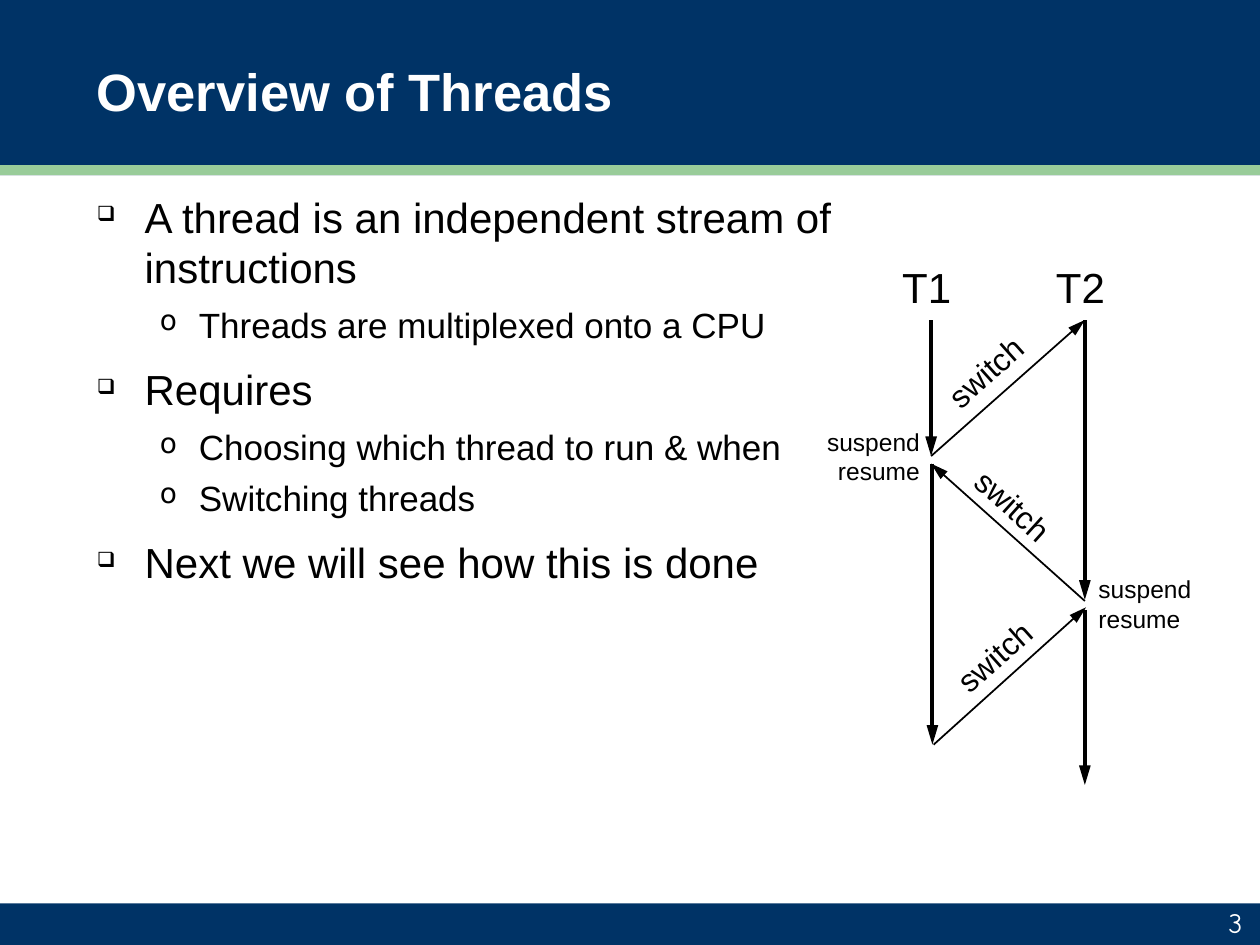
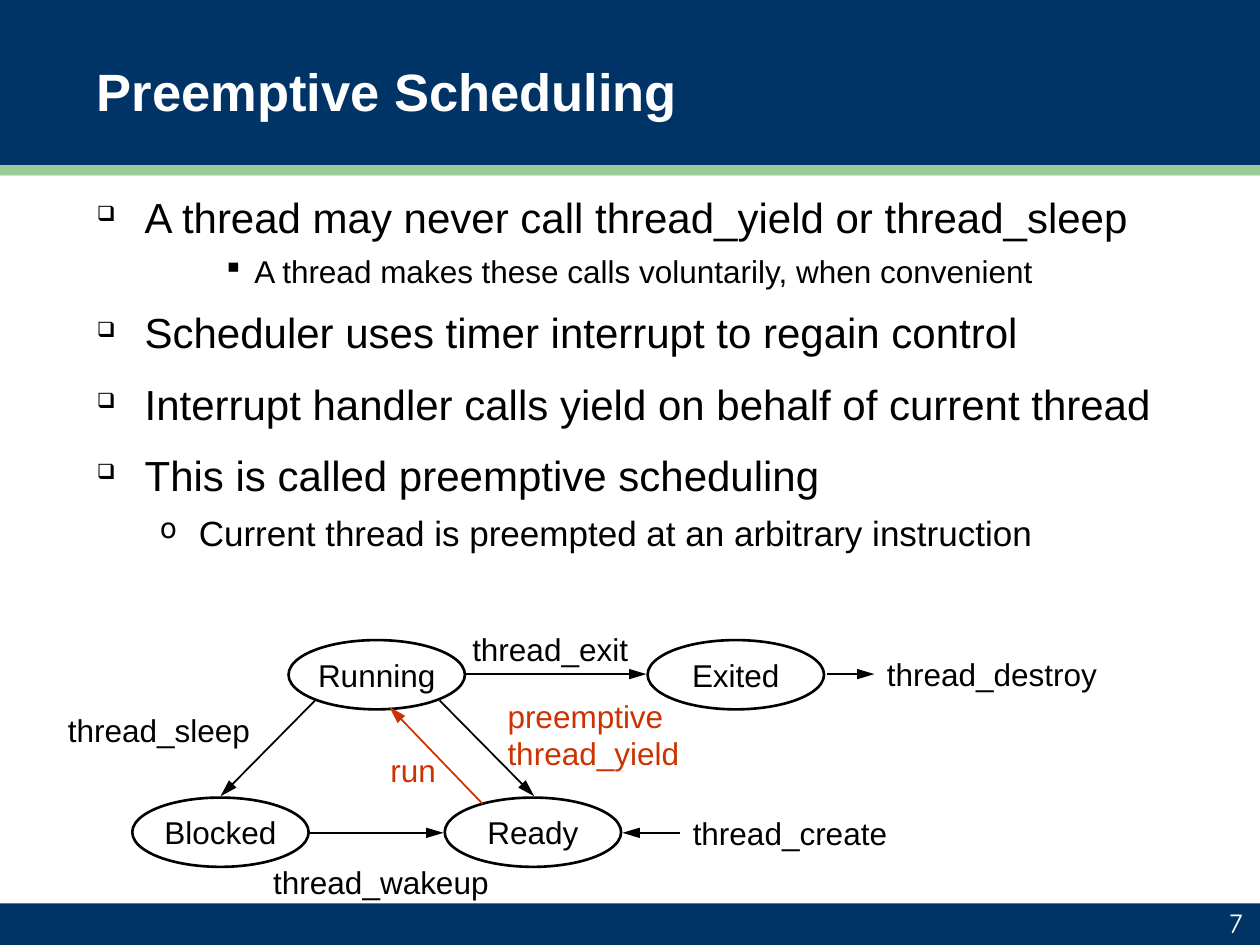
from dataclasses import dataclass

from lxml import etree
from pptx import Presentation
from pptx.dml.color import RGBColor
from pptx.enum.shapes import MSO_CONNECTOR, MSO_SHAPE
from pptx.enum.text import MSO_ANCHOR, MSO_AUTO_SIZE, PP_ALIGN
from pptx.oxml.ns import qn
from pptx.presentation import Presentation as Deck
from pptx.shapes.autoshape import Shape
from pptx.slide import Slide
from pptx.text.text import TextFrame, _Paragraph as Paragraph
from pptx.util import Emu, Pt

EMU_PER_PX = 9144  # 100 px to the inch
SLIDE_WIDTH, SLIDE_HEIGHT = 1000, 750


@dataclass(frozen=True)
class Theme:
    navy: str = "003366"
    green: str = "99CC99"
    ink: str = "000000"
    accent: str = "CC3300"
    paper: str = "FFFFFF"
    font: str = "Arial"
    number_font: str = "Comic Neue"
    title_size: int = 30
    lane_size: int = 24
    label_size: int = 18
    number_size: int = 16
    note_size: int = 14
    thin: float = 1
    outline: float = 1.5
    thick: float = 2.25


THEME = Theme()


@dataclass(frozen=True)
class BulletLevel:
    size: int
    margin: int
    hanging: int
    before: float  # share of the type size
    after: float
    mark: str
    mark_percent: int


LEVELS = (
    BulletLevel(24, 38, 38, 0.4, 0.1, "❑", 50),
    BulletLevel(20, 81, 31, 0.2, 0.05, "o", 80),
    BulletLevel(18, 125, 25, 0.2, 0, "▪", 90),
)


@dataclass(frozen=True)
class Band:
    top: int
    height: int
    color: str


BANDS = (
    Band(0, 139, THEME.navy),
    Band(131, 8, THEME.green),
    Band(717, 33, THEME.navy),
)


@dataclass(frozen=True)
class Bullet:
    level: int
    text: str


@dataclass(frozen=True)
class Label:
    text: str
    left: int
    top: int
    width: int
    height: int = 40
    size: int = THEME.label_size
    color: str = THEME.ink
    align: PP_ALIGN = PP_ALIGN.LEFT
    rotation: float = 0


@dataclass(frozen=True)
class Arrow:
    x1: int
    y1: int
    x2: int
    y2: int
    weight: float = THEME.thin
    color: str = THEME.ink


@dataclass(frozen=True)
class State:
    name: str
    left: int
    top: int


def px(length: int) -> Emu:
    return Emu(length * EMU_PER_PX)


def rgb(color: str) -> RGBColor:
    return RGBColor.from_string(color)


def style_runs(para: Paragraph, size: int, color: str,
               font: str = THEME.font, bold: bool = False) -> None:
    for span in para.runs:
        span.font.name = font
        span.font.size = Pt(size)
        span.font.bold = bold
        span.font.color.rgb = rgb(color)


def add_box(page: Slide, left: int, top: int, width: int, height: int,
            wrap: bool = True) -> Shape:
    box = page.shapes.add_textbox(px(left), px(top), px(width), px(height))
    box.text_frame.word_wrap = wrap
    return box


def add_band(page: Slide, band: Band) -> None:
    shape = page.shapes.add_shape(MSO_SHAPE.RECTANGLE, 0, px(band.top),
                                  px(SLIDE_WIDTH), px(band.height))
    shape.shadow.inherit = False
    shape.fill.solid()
    shape.fill.fore_color.rgb = rgb(band.color)
    shape.line.fill.background()


def set_bullet(para: Paragraph, level: BulletLevel) -> None:
    """Give the paragraph its mark and hanging indent."""
    properties = para._p.get_or_add_pPr()
    properties.set("marL", str(px(level.margin)))
    properties.set("indent", str(px(-level.hanging)))
    color = etree.SubElement(properties, qn("a:buClr"))
    etree.SubElement(color, qn("a:srgbClr"), val=THEME.ink)
    etree.SubElement(properties, qn("a:buSzPct"),
                     val=str(level.mark_percent * 1000))
    etree.SubElement(properties, qn("a:buChar"), char=level.mark)


def fill_bullets(frame: TextFrame, bullets: tuple[Bullet, ...]) -> None:
    frame.text = "\n".join(bullet.text for bullet in bullets)
    for para, bullet in zip(frame.paragraphs, bullets):
        level = LEVELS[bullet.level]
        para.level = bullet.level
        para.space_before = Pt(level.before * level.size)
        para.space_after = Pt(level.after * level.size)
        set_bullet(para, level)
        style_runs(para, level.size, THEME.ink)


def add_page(deck: Deck, title: str, number: int,
             bullets: tuple[Bullet, ...], body_width: int) -> Slide:
    """Add a slide with the shared bands, title, bullets and page number."""
    page = deck.slides.add_slide(deck.slide_layouts[6])
    for band in BANDS:
        add_band(page, band)

    heading = add_box(page, 67, 5, 867, 133).text_frame
    heading.text = title
    heading.vertical_anchor = MSO_ANCHOR.MIDDLE
    style_runs(heading.paragraphs[0], THEME.title_size, THEME.paper, bold=True)

    fill_bullets(add_box(page, 67, 147, body_width, 567).text_frame, bullets)

    footer = add_box(page, 788, 718, 208, 32).text_frame
    footer.text = str(number)
    footer.vertical_anchor = MSO_ANCHOR.BOTTOM
    footer.paragraphs[0].alignment = PP_ALIGN.RIGHT
    style_runs(footer.paragraphs[0], THEME.number_size, THEME.paper,
               THEME.number_font)
    return page


def add_label(page: Slide, label: Label) -> None:
    box = add_box(page, label.left, label.top, label.width, label.height,
                  wrap=False)
    box.rotation = label.rotation
    frame = box.text_frame
    frame.auto_size = MSO_AUTO_SIZE.SHAPE_TO_FIT_TEXT
    frame.text = label.text
    for para in frame.paragraphs:
        para.alignment = label.align
        style_runs(para, label.size, label.color)


def add_arrow(page: Slide, arrow: Arrow) -> None:
    connector = page.shapes.add_connector(
        MSO_CONNECTOR.STRAIGHT, px(arrow.x1), px(arrow.y1),
        px(arrow.x2), px(arrow.y2))
    connector.line.width = Pt(arrow.weight)
    connector.line.color.rgb = rgb(arrow.color)
    etree.SubElement(connector.line._get_or_add_ln(), qn("a:tailEnd"),
                     type="triangle", w="med", len="lg")
    etree.SubElement(connector._element.spPr, qn("a:effectLst"))


def add_state(page: Slide, state: State) -> None:
    oval = page.shapes.add_shape(MSO_SHAPE.OVAL, px(state.left), px(state.top),
                                 px(140), px(55))
    oval.shadow.inherit = False
    oval.fill.background()
    oval.line.width = Pt(THEME.outline)
    oval.line.color.rgb = rgb(THEME.ink)
    frame = oval.text_frame
    frame.word_wrap = False
    frame.vertical_anchor = MSO_ANCHOR.MIDDLE
    frame.text = state.name
    frame.paragraphs[0].alignment = PP_ALIGN.CENTER
    style_runs(frame.paragraphs[0], THEME.label_size, THEME.ink)


def build_overview(deck: Deck) -> None:
    page = add_page(deck, "Overview of Threads", 3, (
        Bullet(0, "A thread is an independent stream of instructions"),
        Bullet(1, "Threads are multiplexed onto a CPU"),
        Bullet(0, "Requires"),
        Bullet(1, "Choosing which thread to run & when"),
        Bullet(1, "Switching threads"),
        Bullet(0, "Next we will see how this is done"),
    ), body_width=614)

    first, second = 739, 861
    for name, left in (("T1", 706), ("T2", 828)):
        add_label(page, Label(name, left, 203, 59, 50, THEME.lane_size,
                              align=PP_ALIGN.CENTER))
    for lane, start, end in ((first, 254, 362), (first + 1, 368, 591),
                             (second, 254, 476), (second, 484, 623)):
        add_arrow(page, Arrow(lane, start, lane, end, THEME.thick))
    for arrow in (Arrow(first, 362, second, 254),
                  Arrow(second, 477, first, 368),
                  Arrow(first + 2, 591, second + 1, 482)):
        add_arrow(page, arrow)
    for left, top, angle in ((737, 275, 318.3), (759, 381, 42),
                             (744, 501, 318.3)):
        add_label(page, Label("switch", left, top, 90,
                              align=PP_ALIGN.CENTER, rotation=angle))
    for left, top, align in ((646, 334, PP_ALIGN.RIGHT),
                             (862, 451, PP_ALIGN.LEFT)):
        add_label(page, Label("suspend\nresume", left, top, 94, 57,
                              THEME.note_size, align=align))


def build_preemptive(deck: Deck) -> None:
    page = add_page(deck, "Preemptive Scheduling", 7, (
        Bullet(0, "A thread may never call thread_yield or thread_sleep"),
        Bullet(2, "A thread makes these calls voluntarily, when convenient"),
        Bullet(0, "Scheduler uses timer interrupt to regain control"),
        Bullet(0, "Interrupt handler calls yield on behalf of current thread"),
        Bullet(0, "This is called preemptive scheduling"),
        Bullet(1, "Current thread is preempted at an arbitrary instruction"),
    ), body_width=867)

    upper, lower = 508, 633
    for state in (State("Running", 229, upper), State("Exited", 514, upper),
                  State("Blocked", 105, lower), State("Ready", 353, lower)):
        add_state(page, state)
    for arrow in (
        Arrow(246, 661, 352, 661),
        Arrow(250, 556, 175, 632),
        Arrow(349, 556, 424, 632),
        Arrow(370, 535, 513, 535),
        Arrow(540, 661, 494, 661),
        Arrow(656, 535, 694, 535),
        Arrow(383, 638, 309, 561, color=THEME.accent),
    ):
        add_arrow(page, arrow)
    for label in (
        Label("thread_wakeup", 207, 680, 192),
        Label("thread_sleep", 44, 559, 166),
        Label("thread_exit", 365, 495, 150),
        Label("thread_destroy", 694, 515, 194),
        Label("thread_create", 540, 641, 176),
        Label("preemptive\nthread_yield", 393, 548, 160, 71,
              color=THEME.accent),
        Label("run", 300, 591, 58, color=THEME.accent),
    ):
        add_label(page, label)


def main() -> None:
    deck = Presentation()
    deck.slide_width, deck.slide_height = px(SLIDE_WIDTH), px(SLIDE_HEIGHT)
    build_overview(deck)
    build_preemptive(deck)
    deck.save("out.pptx")


if __name__ == "__main__":
    main()
